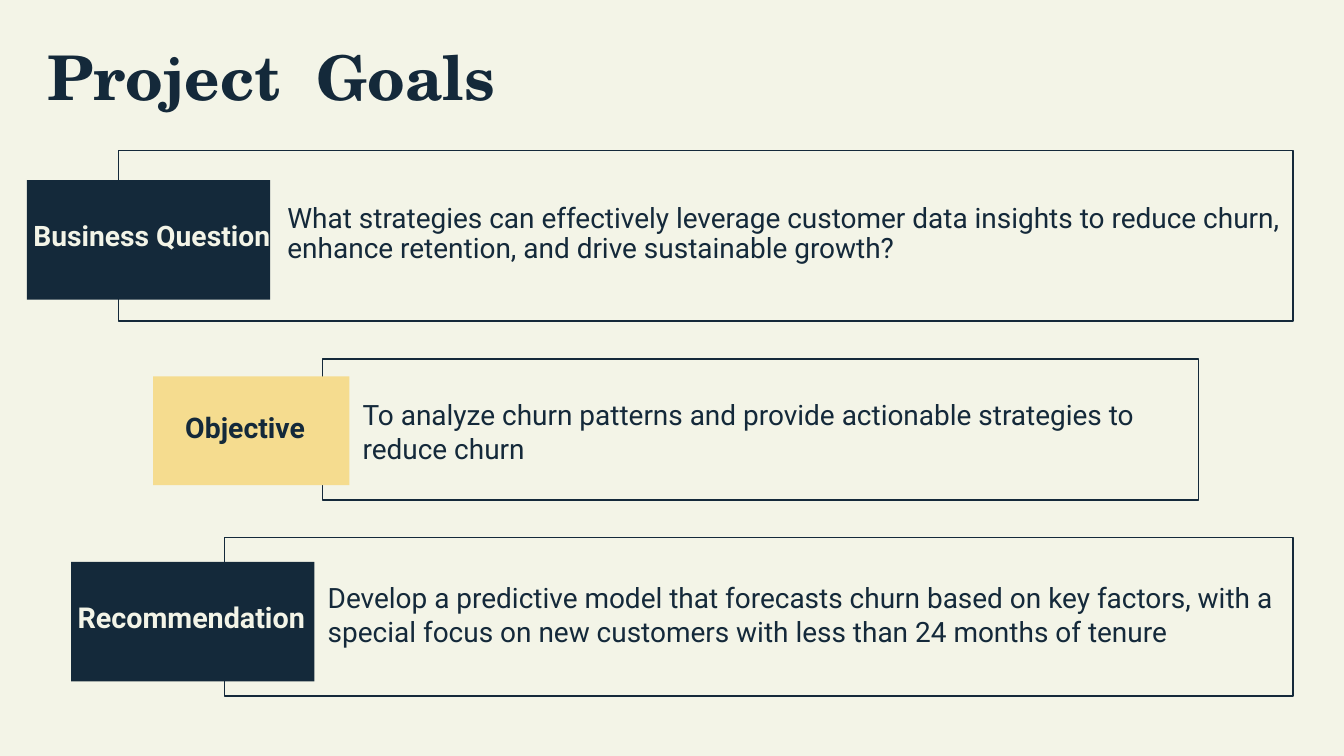
from dataclasses import dataclass

from pptx import Presentation
from pptx.dml.color import RGBColor
from pptx.enum import shapes, text
from pptx.util import Inches, Pt

COLORS = {"paper": "F3F4E7", "navy": "14293A", "sand": "F5DC8F"}
BODY_FONT = "Roboto"
TITLE_FONT = "TeX Gyre Schola"
SLIDE_WIDTH = 10
SLIDE_HEIGHT = SLIDE_WIDTH * 9 / 16


@dataclass
class Area:
    left: float
    top: float
    width: float
    height: float

    def lengths(self) -> list:
        return [Inches(v) for v in (self.left, self.top, self.width, self.height)]


@dataclass
class Goal:
    label: str
    label_size: float
    label_area: Area
    label_color: str
    tag: Area
    tag_color: str
    statement: str
    statement_area: Area
    statement_spacing: float
    frame: Area


GOALS = [
    Goal("Business Question", 15.1, Area(0.15, 1.57, 2.07, 0.43), "paper",
         Area(0.2, 1.34, 1.81, 0.89), "navy",
         "What strategies can effectively leverage customer data insights "
         "to reduce churn, enhance retention, and drive sustainable growth?",
         Area(2.04, 1.42, 7.62, 0.68), 0.9, Area(0.88, 1.12, 8.74, 1.27)),
    Goal("Objective", 15.2, Area(1.28, 3, 1.32, 0.43), "navy",
         Area(1.14, 2.8, 1.46, 0.81), "sand",
         "To analyze churn patterns and provide actionable strategies "
         "to reduce churn",
         Area(2.6, 2.86, 6.36, 0.89), 1.0, Area(2.4, 2.67, 6.52, 1.05)),
    Goal("Recommendation", 15.4, Area(0.48, 4.41, 1.92, 0.43), "paper",
         Area(0.53, 4.18, 1.81, 0.89), "navy",
         "Develop a predictive model that forecasts churn based on key factors, "
         "with a special focus on new customers with less than 24 months of tenure",
         Area(2.34, 4.22, 7.28, 0.81), 1.0, Area(1.67, 4, 7.95, 1.18)),
]


def rgb(name: str) -> RGBColor:
    return RGBColor.from_string(COLORS[name])


def write(shape, words: str, size: float, color: str, font: str = BODY_FONT,
          bold: bool = False, spacing: float = 1.0) -> None:
    frame = shape.text_frame
    frame.text = words
    frame.word_wrap = True
    frame.auto_size = text.MSO_AUTO_SIZE.NONE
    frame.vertical_anchor = text.MSO_ANCHOR.TOP
    frame.margin_left = frame.margin_right = Inches(0.1)
    frame.margin_top = frame.margin_bottom = Inches(0.1)
    paragraph = frame.paragraphs[0]
    paragraph.alignment = text.PP_ALIGN.LEFT
    paragraph.line_spacing = spacing
    run_font = paragraph.runs[0].font
    run_font.name = font
    run_font.size = Pt(size)
    run_font.bold = bold
    run_font.color.rgb = rgb(color)


def add_rectangle(slide, area: Area, fill: str = "", line: str = "") -> None:
    rectangle = slide.shapes.add_shape(shapes.MSO_SHAPE.RECTANGLE, *area.lengths())
    rectangle.shadow.inherit = False
    if fill:
        rectangle.fill.solid()
        rectangle.fill.fore_color.rgb = rgb(fill)
    else:
        rectangle.fill.background()
    if line:
        rectangle.line.color.rgb = rgb(line)
        rectangle.line.width = Pt(0.75)
    else:
        rectangle.line.fill.background()


def add_goal(slide, goal: Goal) -> None:
    add_rectangle(slide, goal.frame, line="navy")
    add_rectangle(slide, goal.tag, fill=goal.tag_color)
    label = slide.shapes.add_textbox(*goal.label_area.lengths())
    write(label, goal.label, goal.label_size, goal.label_color, bold=True, spacing=0.8)
    statement = slide.shapes.add_textbox(*goal.statement_area.lengths())
    write(statement, goal.statement, 15, "navy", spacing=goal.statement_spacing)


def main() -> None:
    deck = Presentation()
    deck.slide_width, deck.slide_height = Inches(SLIDE_WIDTH), Inches(SLIDE_HEIGHT)
    slide = deck.slides.add_slide(deck.slide_layouts[5])
    slide.background.fill.solid()
    slide.background.fill.fore_color.rgb = rgb("paper")

    # Title
    title = slide.shapes.title
    title.left, title.top, title.width, title.height = Area(0.25, 0.19, 5.38, 0.59).lengths()
    write(title, "Project  Goals", 33, "navy", TITLE_FONT, bold=True)

    # Goals, each a framed statement with a coloured tag
    for goal in GOALS:
        add_goal(slide, goal)

    deck.save("out.pptx")


if __name__ == "__main__":
    main()
